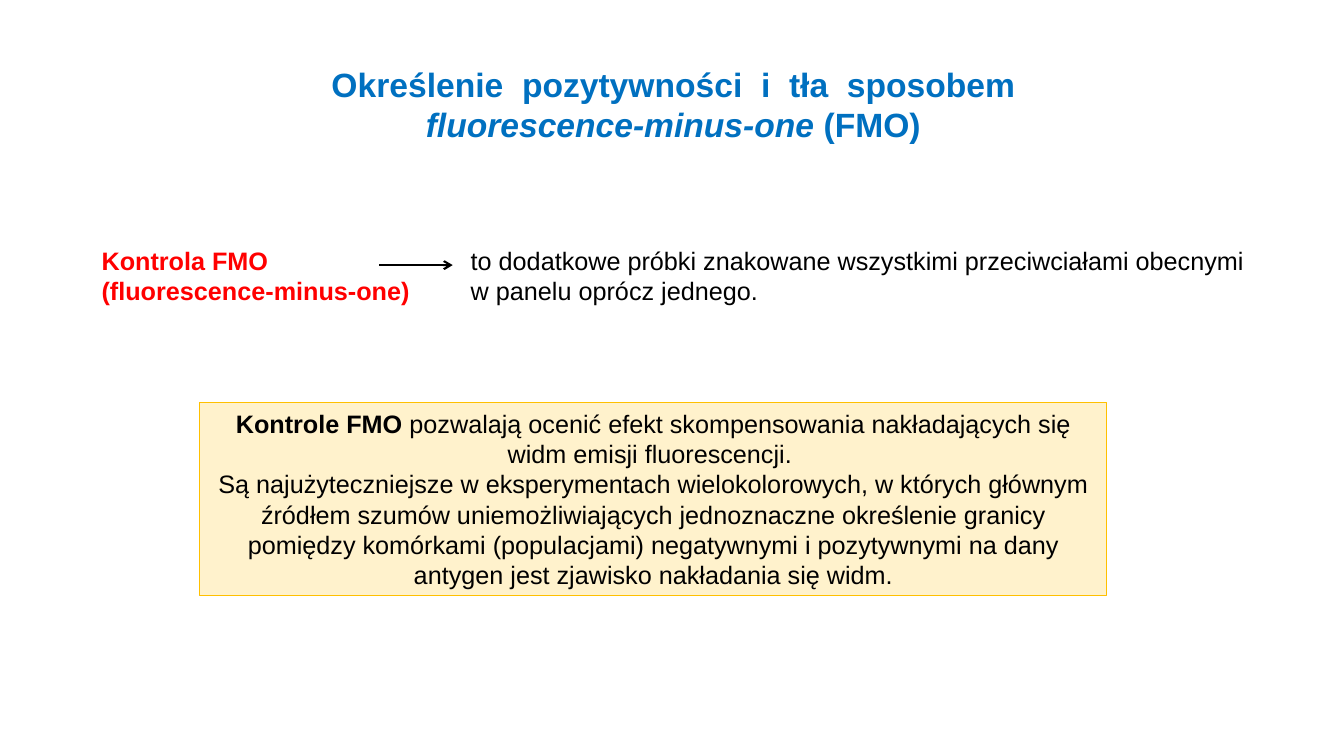
"""Build the slide on fluorescence-minus-one (FMO) controls."""
from lxml import etree
from pptx import Presentation
from pptx.dml.color import RGBColor
from pptx.enum.shapes import MSO_CONNECTOR, MSO_SHAPE
from pptx.enum.text import MSO_ANCHOR, PP_ALIGN
from pptx.oxml.ns import qn
from pptx.util import Inches, Pt

LEFT, CENTER = PP_ALIGN.LEFT, PP_ALIGN.CENTER
MIDDLE, TOP = MSO_ANCHOR.MIDDLE, MSO_ANCHOR.TOP
RECTANGLE, STRAIGHT = MSO_SHAPE.RECTANGLE, MSO_CONNECTOR.STRAIGHT
FONT = "Arial"
BLUE = RGBColor(0x00, 0x70, 0xC0)
RED = RGBColor(0xFF, 0x00, 0x00)
BLACK = RGBColor(0x00, 0x00, 0x00)
CREAM = RGBColor(0xFF, 0xF2, 0xCC)
GOLD = RGBColor(0xFF, 0xC0, 0x00)
WORD_GAP = Pt(6.67)

TITLE_WORDS = "Określenie pozytywności i tła sposobem".split()
TITLE = [
    [(TITLE_WORDS[0], "b")]
    + [run for word in TITLE_WORDS[1:] for run in ((" ", "bw"), (word, "b"))],
    [("fluorescence-minus-one", "bi"), (" (FMO)", "b")],
]
TERM = [[("Kontrola FMO", "b")], [("(fluorescence-minus-one)", "b")]]
DEFINITION = [[("to dodatkowe próbki znakowane wszystkimi przeciwciałami "
                "obecnymi w panelu oprócz jednego.", "")]]
PURPOSE = [
    [("Kontrole FMO ", "b"),
     ("pozwalają ocenić efekt skompensowania nakładających się widm emisji "
      "fluorescencji. ", "")],
    [("Są najużyteczniejsze w eksperymentach wielokolorowych, w których "
      "głównym źródłem szumów uniemożliwiających jednoznaczne określenie "
      "granicy pomiędzy komórkami (populacjami) negatywnymi i pozytywnymi na "
      "dany antygen jest zjawisko nakładania się widm.", "")],
]

ROW_TOP, ROW_HEIGHT = 2.38, 0.71
TITLE_BOX = (2.08, 0.58, 9.38, 0.91)
TERM_BOX = (0.91, ROW_TOP, 3.36, ROW_HEIGHT)
DEFINITION_BOX = (4.57, ROW_TOP, 7.95, ROW_HEIGHT)
PURPOSE_BOX = (1.98, 3.99, 9, 1.92)
ARROW = (3.76, 2.63, 4.49, 2.63)


def inches(lengths):
    return [Inches(length) for length in lengths]


def write(shape, paragraphs, size, color, alignment, anchor=TOP, wrap=True):
    frame = shape.text_frame
    frame.word_wrap = wrap
    frame.vertical_anchor = anchor
    for index, runs in enumerate(paragraphs):
        paragraph = frame.add_paragraph() if index else frame.paragraphs[0]
        paragraph.alignment = alignment
        for text, style in runs:
            run = paragraph.add_run()
            run.text = text
            run.font.name = FONT
            run.font.size = Pt(size)
            run.font.color.rgb = color
            run.font.bold = "b" in style
            run.font.italic = "i" in style
            if "w" in style:
                run.font._element.set("spc", str(round(WORD_GAP.pt * 100)))


def add_text(slide, box, *content, **options):
    shape = slide.shapes.add_textbox(*inches(box))
    write(shape, *content, **options)
    return shape


def add_purpose(slide):
    shape = slide.shapes.add_shape(RECTANGLE, *inches(PURPOSE_BOX))
    shape.shadow.inherit = False
    shape.fill.solid()
    shape.fill.fore_color.rgb = CREAM
    shape.line.color.rgb = GOLD
    shape.line.width = Pt(0.75)
    write(shape, PURPOSE, 18, BLACK, CENTER, anchor=MIDDLE)


def add_arrow(slide):
    arrow = slide.shapes.add_connector(STRAIGHT, *inches(ARROW))
    arrow.line.color.rgb = BLACK
    arrow.line.width = Pt(1.5)
    etree.SubElement(arrow.line._get_or_add_ln(), qn("a:tailEnd"), type="arrow")
    etree.SubElement(arrow._element.spPr, qn("a:effectLst"))


def main():
    presentation = Presentation()
    presentation.slide_width = Inches(13.33)
    presentation.slide_height = Inches(7.5)
    slide = presentation.slides.add_slide(presentation.slide_layouts[6])
    title = add_text(slide, TITLE_BOX, TITLE, 24, BLUE, CENTER)
    first_line = title.text_frame.paragraphs[0]
    first_line._p.get_or_add_pPr().set("marR", str(2 * WORD_GAP))
    add_purpose(slide)
    add_text(slide, TERM_BOX, TERM, 18, RED, LEFT, wrap=False)
    add_text(slide, DEFINITION_BOX, DEFINITION, 18, BLACK, LEFT)
    add_arrow(slide)
    presentation.save("out.pptx")


if __name__ == "__main__":
    main()
